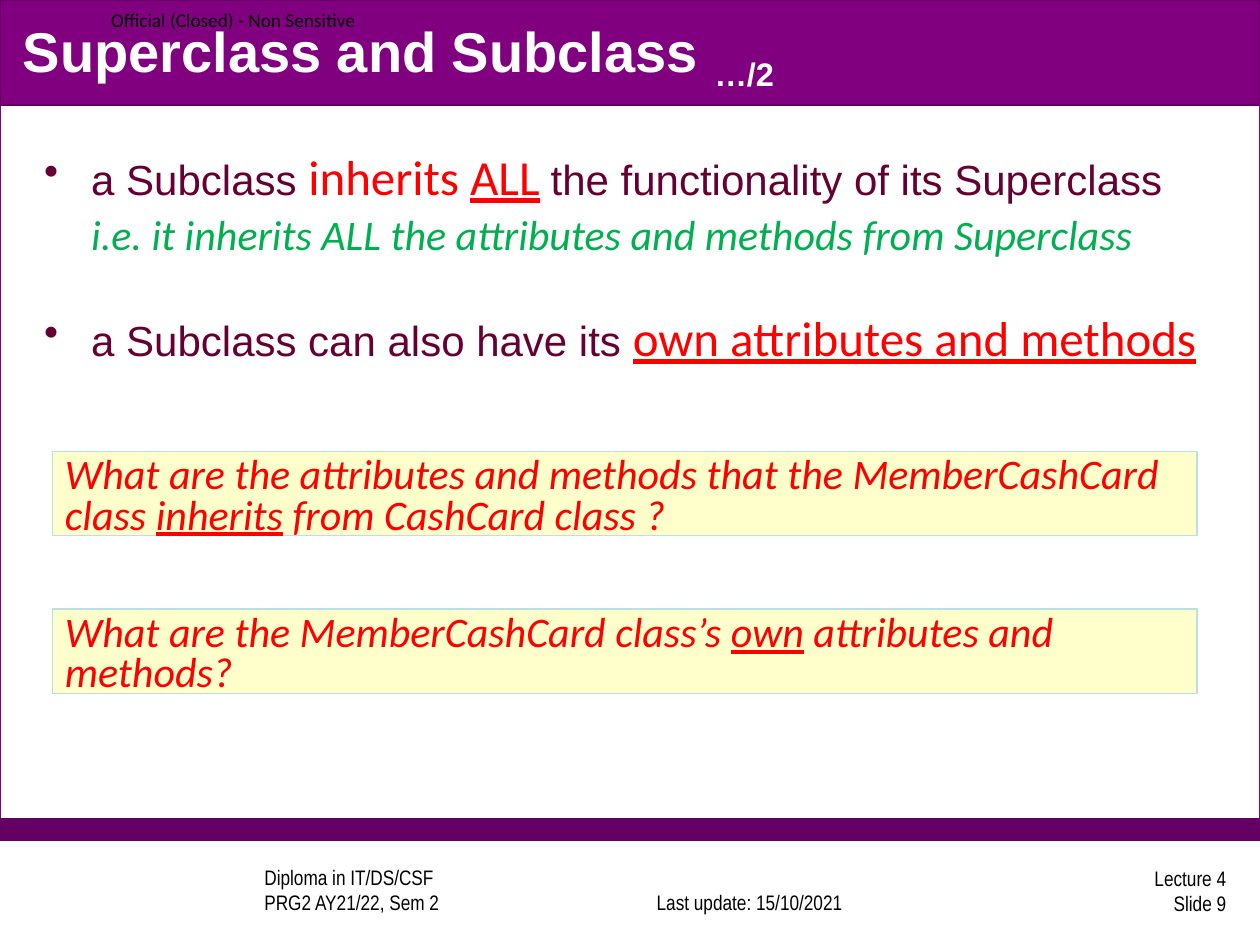
from dataclasses import dataclass

from pptx import Presentation
from pptx.dml.color import RGBColor
from pptx.enum.shapes import MSO_SHAPE
from pptx.enum.text import MSO_ANCHOR, PP_ALIGN
from pptx.oxml.ns import qn
from pptx.util import Cm, Pt

RECT = MSO_SHAPE.RECTANGLE
TOP, MIDDLE, BOTTOM = MSO_ANCHOR.TOP, MSO_ANCHOR.MIDDLE, MSO_ANCHOR.BOTTOM
LEFT, CENTER, RIGHT = PP_ALIGN.LEFT, PP_ALIGN.CENTER, PP_ALIGN.RIGHT


@dataclass(frozen=True)
class Theme:
    white: str = "FFFFFF"
    black: str = "000000"
    purple: str = "800080"
    dark: str = "640064"
    plum: str = "660033"
    red: str = "FF0000"
    green: str = "00B050"
    cream: str = "FFFFCC"
    edge: str = "BBE0E3"
    sans: str = "Arial"
    narrow: str = "Arial Narrow"
    soft: str = "Calibri"
    title: int = 32
    large: int = 28
    body: int = 24
    foot: int = 12
    mark: int = 11


@dataclass(frozen=True)
class Run:
    text: str
    font: str
    size: int
    color: str
    bold: bool = False
    italic: bool = False
    under: bool = False
    base: int = 0


class Deck:
    def __init__(self, theme, slide):
        self.theme = theme
        self.slide = slide

    def box(self, x, y, w, h, fill, line):
        shape = self.slide.shapes.add_shape(RECT, Cm(x), Cm(y), Cm(w), Cm(h))
        shape.shadow.inherit = False
        shape.fill.solid()
        shape.fill.fore_color.rgb = RGBColor.from_string(fill)
        shape.line.color.rgb = RGBColor.from_string(line)
        shape.line.width = Pt(0.75)
        return shape

    def frame(self, x, y, w, h, anchor=TOP):
        frame = self.slide.shapes.add_textbox(
            Cm(x), Cm(y), Cm(w), Cm(h)).text_frame
        frame.word_wrap = True
        frame.vertical_anchor = anchor
        return frame

    def add_runs(self, para, runs, align=LEFT):
        para.alignment = align
        for item in runs:
            run = para.add_run()
            run.text = item.text
            font = run.font
            font.name, font.size = item.font, Pt(item.size)
            font.bold, font.italic = item.bold, item.italic
            font.underline = item.under
            font.color.rgb = RGBColor.from_string(item.color)
            if item.base:
                run._r.get_or_add_rPr().set("baseline", str(item.base * 1000))

    def point(self, para, runs, bullet=True, after=0):
        """Fill an indented paragraph, with or without a hanging bullet."""
        para.line_spacing = 0.9
        para.space_before, para.space_after = Pt(5), Pt(after)
        props = para._p.get_or_add_pPr()
        props.set("marL", str(Cm(0.95)))
        props.set("indent", str(Cm(-0.95) if bullet else 0))
        if bullet:
            mark = props.makeelement(qn("a:buChar"), {"char": "•"})
            props.append(mark)
        self.add_runs(para, runs)

    def card(self, y, runs):
        """Add a question box."""
        t = self.theme
        frame = self.box(1.06, y, 23.07, 1.7, t.cream, t.edge).text_frame
        frame.word_wrap = True
        frame.vertical_anchor = TOP
        para = frame.paragraphs[0]
        para.line_spacing = 0.8
        self.add_runs(para, runs)

    def foot(self, x, y, w, lines, align, anchor, inset=0.25):
        t = self.theme
        frame = self.frame(x, y, w, 1.06, anchor)
        frame.margin_left = Cm(inset)
        para = frame.paragraphs[0]
        for i, line in enumerate(lines):
            if i:
                para.add_line_break()
            self.add_runs(para, [Run(line, t.narrow, t.foot, t.black)], align)


def main():
    show = Presentation()
    show.slide_width, show.slide_height = Cm(25.4), Cm(19.05)
    t = Theme()
    deck = Deck(t, show.slides.add_slide(show.slide_layouts[6]))

    deck.box(0, 0, 25.4, 16.93, t.white, t.purple)
    deck.box(0, 16.51, 25.4, 0.43, t.dark, t.dark)
    deck.box(0, 0, 25.4, 2.12, t.purple, t.dark)

    deck.foot(3.81, 17.5, 8.05, ["Diploma in IT/DS/CSF", "PRG2 AY21/22, Sem 2"],
              LEFT, BOTTOM, inset=1.52)
    deck.foot(12.47, 17.5, 5.28, ["Last update: 15/10/2021"], CENTER, BOTTOM)
    deck.foot(19.69, 17.42, 5.28, ["Lecture 4", "Slide 9"], RIGHT, MIDDLE)

    label = deck.frame(0, 0, 7.65, 0.79, MIDDLE)
    label.margin_left = Cm(2.24)
    label.margin_right = label.margin_top = label.margin_bottom = 0
    deck.add_runs(label.paragraphs[0], [
        Run("Official (Closed) - Non Sensitive", t.soft, t.mark, t.black)])

    def plain(text):
        return Run(text, t.sans, t.body, t.plum)

    def strong(text, under=False):
        return Run(text, t.soft, t.large, t.red, under=under)

    def ask(text, under=False):
        return Run(text, t.soft, t.body, t.red, italic=True, under=under)

    body = deck.frame(0.64, 2.96, 24.76, 5.71)
    deck.point(body.paragraphs[0], [
        plain("a Subclass "), strong("inherits "), strong("ALL", True),
        strong(" "), plain("the functionality of its Superclass")])
    deck.point(body.add_paragraph(), [
        Run("i.e. it inherits ALL the attributes and methods from Superclass",
            t.soft, t.body, t.green, italic=True)], bullet=False, after=26)
    deck.point(body.add_paragraph(), [
        plain("a Subclass can also have its "),
        strong("own attributes and methods", True)])

    cards = [
        [ask("What are the attributes and methods that the MemberCashCard class "),
         ask("inherits", True), ask(" from CashCard class ?")],
        [ask("What are the MemberCashCard class’s "), ask("own", True),
         ask(" attributes and methods?")],
    ]
    for i, runs in enumerate(cards):
        deck.card(9.1 + 3.18 * i, runs)

    title = deck.frame(0.21, 0.32, 24.98, 1.57, MIDDLE)
    deck.add_runs(title.paragraphs[0], [
        Run("Superclass and Subclass ", t.sans, t.title, t.white, bold=True),
        Run("…/2", t.sans, t.title, t.white, bold=True, base=-25)])

    show.save("out.pptx")


if __name__ == "__main__":
    main()
